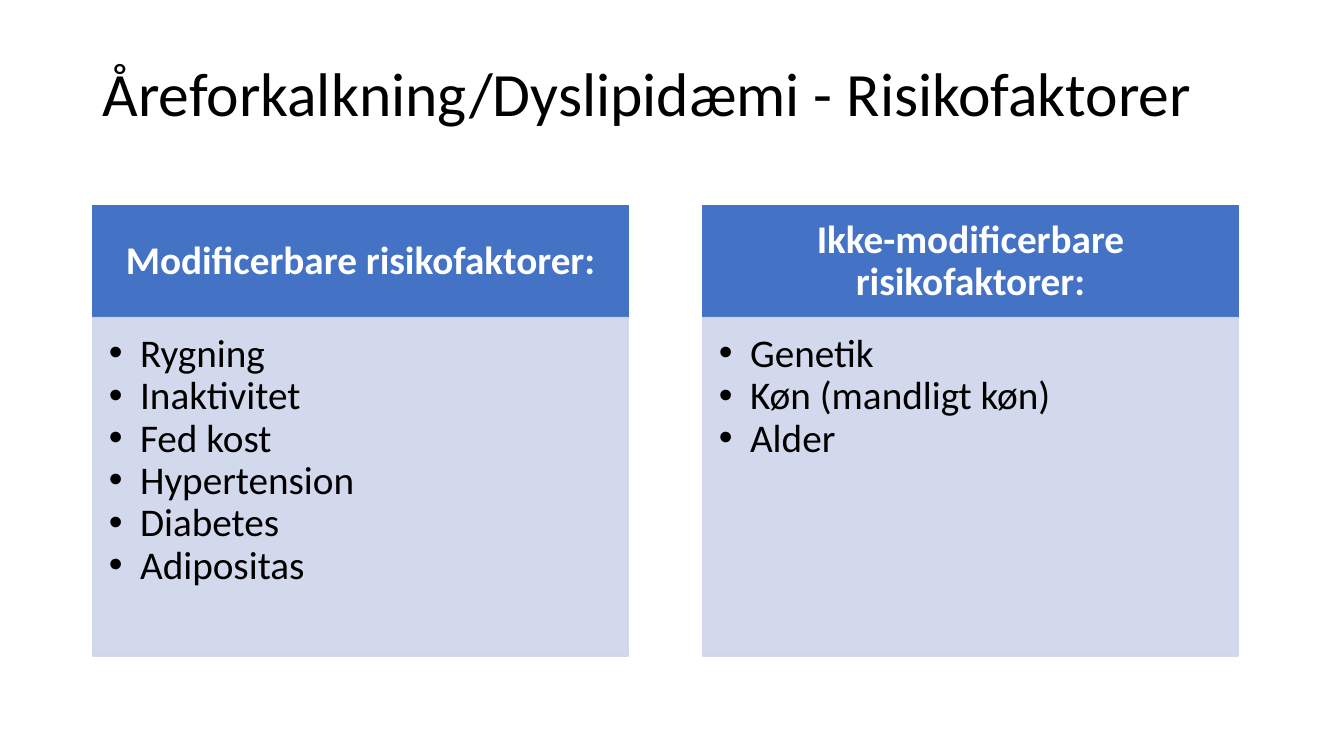
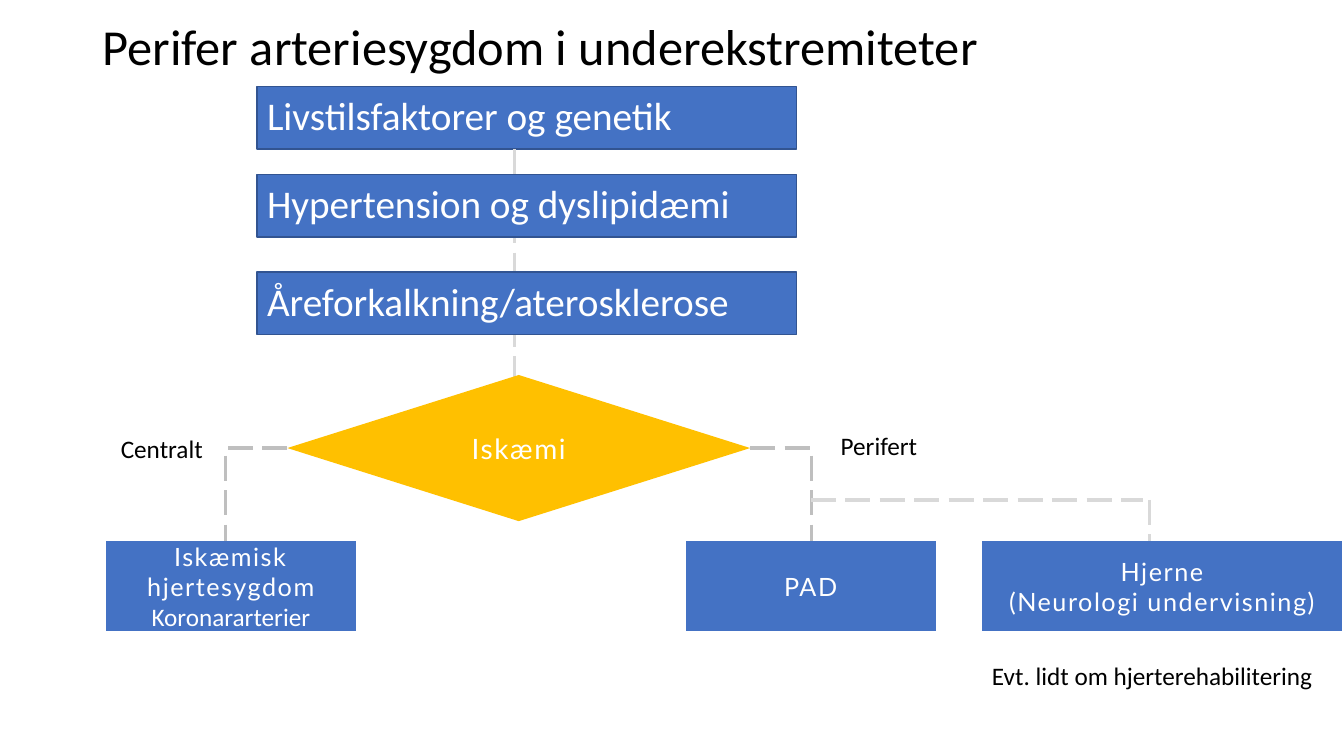
from lxml import etree
from pptx import Presentation
from pptx.dml.color import RGBColor
from pptx.enum.dml import MSO_LINE
from pptx.enum.shapes import MSO_CONNECTOR as CONN, MSO_SHAPE as SHAPE
from pptx.enum.text import MSO_ANCHOR as ANCHOR, PP_ALIGN as ALIGN
from pptx.oxml.ns import qn
from pptx.util import Inches, Pt

COLORS = {
    "black": "000000", "white": "FFFFFF", "blue": "4472C4", "edge": "325491",
    "pale": "CFD5EA", "gold": "FFC000", "line": "D9D9D9", "branch": "BFBFBF",
}
BODY, LABEL = "Calibri", "Lato"
INSETS = (0.1, 0.05, 0.1, 0.05)


def rgb(name):
    return RGBColor.from_string(COLORS[name])


def set_alpha(fill_parent, percent):
    """Make the solid fill directly under an XML element translucent."""
    color = fill_parent.find(qn("a:solidFill"))[0]
    etree.SubElement(color, qn("a:alpha")).set("val", str(percent * 1000))


def add_bullet(p, indent):
    pPr = p._p.get_or_add_pPr()
    pPr.set("marL", str(Inches(indent)))
    pPr.set("indent", str(-Inches(indent)))
    etree.SubElement(pPr, qn("a:buFont")).set("typeface", "Arial")
    etree.SubElement(pPr, qn("a:buChar")).set("char", "•")


def write(sp, lines, size=18, color="black", font=BODY, bold=False, align=ALIGN.LEFT,
          anchor=ANCHOR.TOP, insets=INSETS, leading=None, bullet=0, spacing=0):
    """Add one paragraph per line; a (text, format) pair overrides font or spacing."""
    tf = sp.text_frame
    tf.word_wrap = True
    tf.vertical_anchor = anchor
    tf.margin_left, tf.margin_top, tf.margin_right, tf.margin_bottom = map(Inches, insets)
    for i, line in enumerate(lines):
        text, own = line if isinstance(line, tuple) else (line, {})
        p = tf.paragraphs[0] if i == 0 else tf.add_paragraph()
        p.alignment = align
        if leading:
            p.line_spacing = leading
        if bullet:
            add_bullet(p, bullet)
        r = p.add_run()
        r.text = text
        r.font.size, r.font.bold = Pt(size), bold
        r.font.name = own.get("font", font)
        r.font.color.rgb = rgb(color)
        r._r.get_or_add_rPr().set("spc", str(round(own.get("spacing", spacing) * 100)))


def add_text(slide, box, lines, **fmt):
    write(slide.shapes.add_textbox(*map(Inches, box)), lines, **fmt)


def add_box(slide, box, lines, fill="blue", edge=None, kind=SHAPE.RECTANGLE, alpha=None, **fmt):
    sp = slide.shapes.add_shape(kind, *map(Inches, box))
    sp.shadow.inherit = False
    sp.fill.solid()
    sp.fill.fore_color.rgb = rgb(fill)
    if edge:
        sp.line.color.rgb = rgb(edge)
        sp.line.width = Pt(1)
    else:
        sp.line.fill.background()
    if alpha:
        spPr = sp._element.spPr
        set_alpha(spPr, alpha)
        set_alpha(spPr.find(qn("a:ln")), alpha)
    write(sp, lines, **fmt)


def add_dashes(slide, start, end, color="line", bent=False):
    kind = CONN.ELBOW if bent else CONN.STRAIGHT
    c = slide.shapes.add_connector(kind, *map(Inches, start + end))
    c.line.color.rgb = rgb(color)
    c.line.width = Pt(2.25)
    c.line.dash_style = MSO_LINE.LONG_DASH
    spPr = c._element.spPr
    if bent:
        spPr.find(qn("a:prstGeom")).set("prst", "bentConnector2")
    etree.SubElement(spPr, qn("a:effectLst"))


def new_slide(prs, title, top, height, size):
    slide = prs.slides.add_slide(prs.slide_layouts[6])
    add_text(slide, (0.92, top, 11.5, height), [title], size=size,
             anchor=ANCHOR.MIDDLE, leading=0.9)
    return slide


def risk_column(slide, x, y, w, heading, items):
    head_h, body_h = 1.11, 3.36
    add_box(slide, (x, y, w, head_h), [heading], edge="blue", size=28, color="white",
            bold=True, align=ALIGN.CENTER, anchor=ANCHOR.MIDDLE,
            insets=(0.22, 0.12, 0.22, 0.12), leading=0.9)
    add_box(slide, (x, y + head_h, w, body_h), items, fill="pale", edge="pale", alpha=90,
            size=28, insets=(0.16, 0.16, 0.22, 0.24), leading=0.9, bullet=0.31)


def risk_slide(prs):
    slide = new_slide(prs, "Åreforkalkning/Dyslipidæmi - Risikofaktorer", 0.23, 1.45, 44)
    columns = [
        ("Modificerbare risikofaktorer:",
         ["Rygning", "Inaktivitet", "Fed kost", "Hypertension", "Diabetes", "Adipositas"]),
        ("Ikke-modificerbare risikofaktorer:",
         ["Genetik", "Køn (mandligt køn)", "Alder"]),
    ]
    width, gap = 5.31, 0.74
    for i, (heading, items) in enumerate(columns):
        risk_column(slide, 0.92 + i * (width + gap), 2.04, width, heading, items)


def cause_chain(slide, x, y, w):
    """Stack the causes, with the dashed line above the first box and behind the rest."""
    h = 0.62
    causes = [(0, "Livstilsfaktorer og genetik"),
              (0.87, "Hypertension og dyslipidæmi"),
              (1.84, "Åreforkalkning/aterosklerose")]
    for i, (dy, text) in enumerate(causes):
        add_box(slide, (x, y + dy, w, h), [text], edge="edge", size=28, color="white")
        if i == 0:
            add_dashes(slide, (x + 2.55, y + h), (x + 2.55, y + 3.69))


def ischemia_branches(slide, x, y, w, h):
    """Place the decision in the given box, with its branches and outcomes around it."""
    mid, reach, drop = y + h / 2, 0.61, 1.12
    for side, step in ((x + w, reach), (x, -reach)):
        add_dashes(slide, (side, mid), (side + step, mid + drop), color="branch", bent=True)
    label = dict(color="white", font=LABEL, spacing=1.1,
                 align=ALIGN.CENTER, anchor=ANCHOR.MIDDLE)
    add_box(slide, (x, y, w, h), ["Iskæmi"], fill="gold", kind=SHAPE.FLOWCHART_DECISION,
            size=20, **label)

    top, fork = y + 1.65, y + 1.24
    add_dashes(slide, (x + 5.19, fork), (x + 8.49, fork))
    add_dashes(slide, (x + 8.55, fork), (x + 8.55, top))
    outcomes = [
        (-1.8, 2.48, ["Iskæmisk hjertesygdom",
                      ("Koronararterier", {"font": BODY, "spacing": 0})]),
        (3.95, 2.48, ["PAD"]),
        (6.89, 3.57, ["Hjerne", "(Neurologi undervisning)"]),
    ]
    for dx, width, lines in outcomes:
        add_box(slide, (x + dx, top, width, 0.89), lines,
                kind=SHAPE.FLOWCHART_PROCESS, **label)

    notes = [(-1.75, 0.53, 1.2, "Centralt"), (5.39, 0.5, 1.2, "Perifert"),
             (6.89, 2.78, 3.55, "Evt. lidt om hjerterehabilitering")]
    for dx, dy, width, text in notes:
        add_text(slide, (x + dx, y + dy, width, 0.4), [text])


def artery_slide(prs):
    slide = new_slide(prs, "Perifer arteriesygdom i underekstremiteter", 0.1, 0.77, 36)
    cause_chain(slide, 2.55, 0.86, 5.35)
    ischemia_branches(slide, 2.85, 3.72, 4.59, 1.45)


def main():
    prs = Presentation()
    prs.slide_width, prs.slide_height = Inches(13.33), Inches(7.5)
    risk_slide(prs)
    artery_slide(prs)
    prs.save("out.pptx")


if __name__ == "__main__":
    main()
